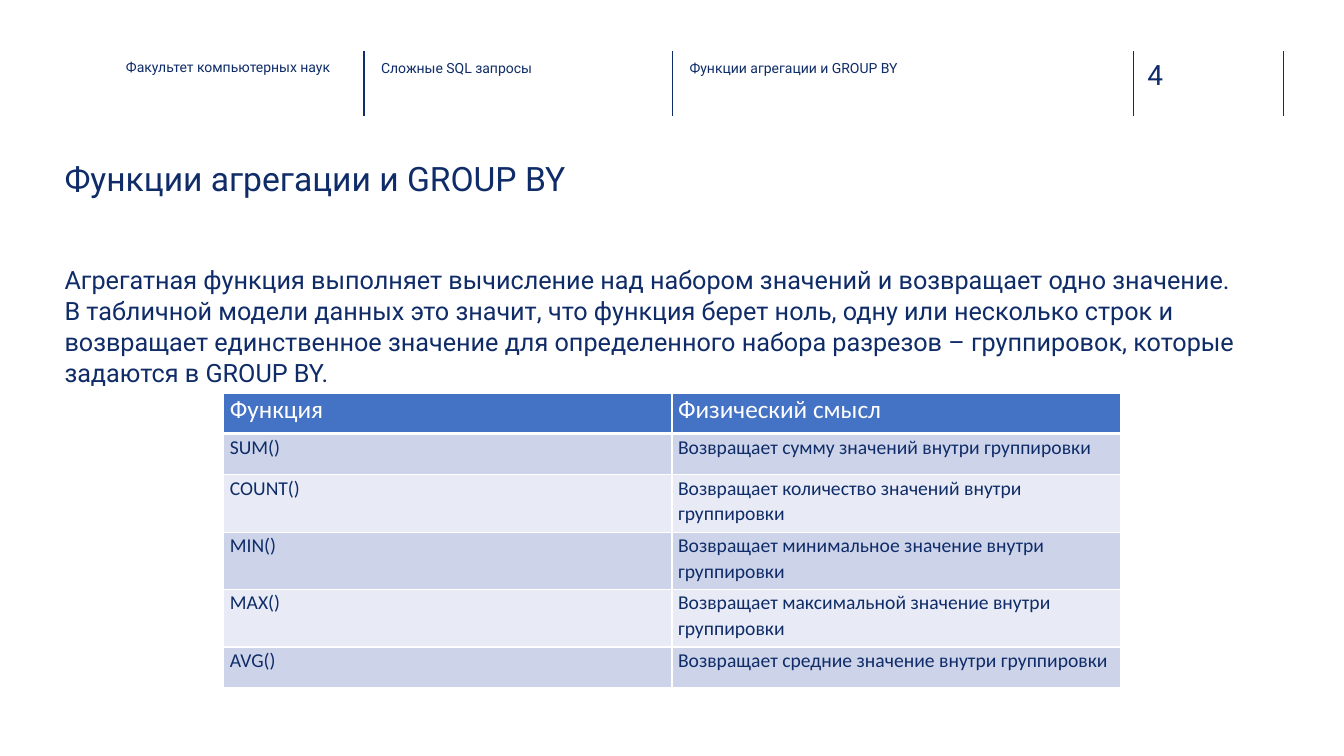
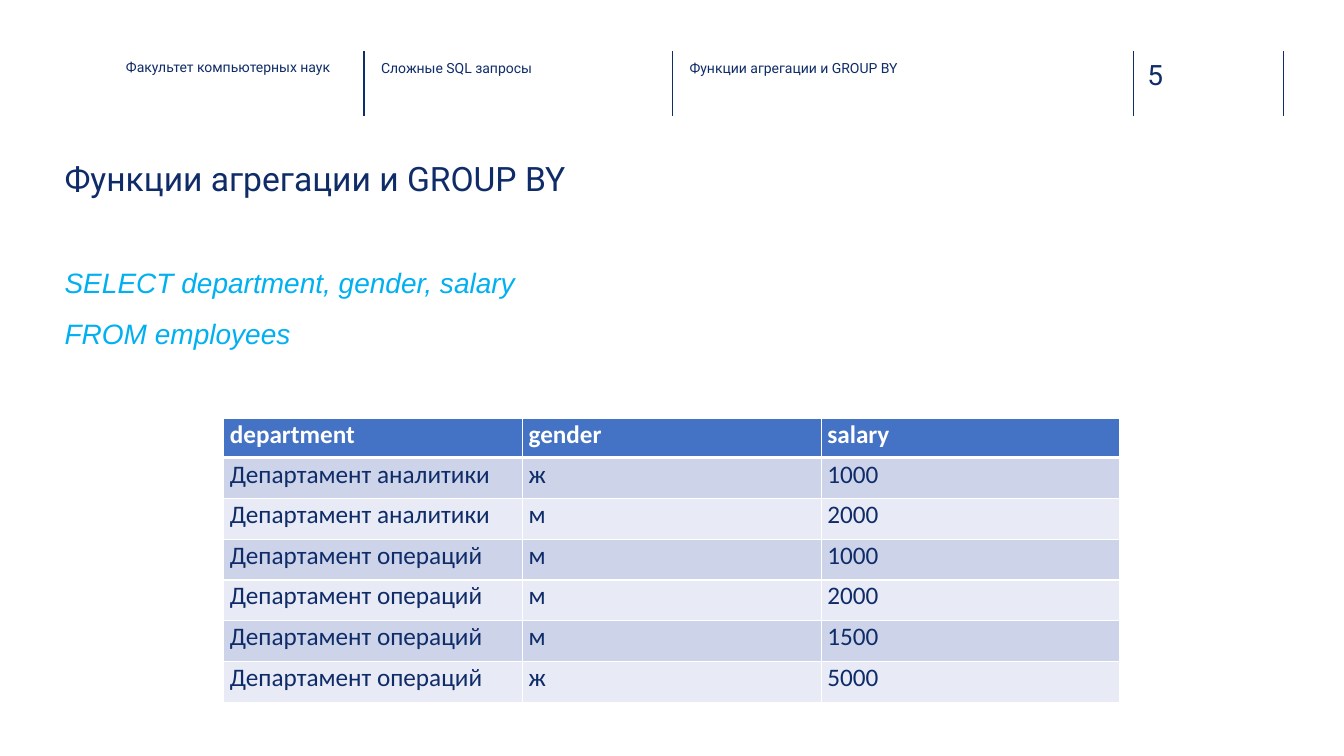
from lxml import etree
from pptx import Presentation
from pptx.dml.color import RGBColor
from pptx.enum.shapes import MSO_CONNECTOR
from pptx.oxml.ns import qn
from pptx.util import Inches, Pt

STRAIGHT = MSO_CONNECTOR.STRAIGHT

COLORS = {
    "navy": "0F2C68",
    "divider": "102D69",
    "query": "00B0F0",
    "header": "4472C4",
    "band_dark": "CDD4EA",
    "band_light": "E8EBF5",
    "white": "FFFFFF",
}

SLIDE_WIDTH, SLIDE_HEIGHT = 13.33, 7.5
TEXT_LEFT, TEXT_WIDTH = 0.64, 11.87
TABLE_LEFT, TABLE_WIDTH = 2.22, 8.89
DIVIDERS = (3.61, 6.67, 11.24, 12.73)
DIVIDER_TOP, DIVIDER_BOTTOM = 0.51, 1.15
FIRST_PAGE = 4

TITLE = "Функции агрегации и GROUP BY"
# label, left, top, width
HEADER_LABELS = [
    ("Факультет компьютерных наук", 1.25, 0.57, 2.3),
    ("Сложные SQL запросы", DIVIDERS[0] + 0.17, 0.58, 2.8),
    (TITLE, DIVIDERS[1] + 0.17, 0.58, 4.3),
]

PAGES = [
    {
        "body": {
            "lines": [
                "Агрегатная функция выполняет вычисление над набором значений "
                "и возвращает одно значение.",
                "В табличной модели данных это значит, что функция берет ноль, "
                "одну или несколько строк и возвращает единственное значение "
                "для определенного набора разрезов – группировок, которые "
                "задаются в GROUP BY.",
            ],
            "top": 2.61, "height": 1.22,
            "style": {"size": 18, "spacing": 1.02},
        },
        "table": {
            "rows": [
                ("Функция", "Физический смысл"),
                ("SUM()", "Возвращает сумму значений внутри группировки"),
                ("COUNT()", "Возвращает количество значений внутри группировки"),
                ("MIN()", "Возвращает минимальное значение внутри группировки"),
                ("MAX()", "Возвращает максимальной значение внутри группировки"),
                ("AVG()", "Возвращает средние значение внутри группировки"),
            ],
            "top": 3.9,
            "heights": [0.4, 0.41, 0.57, 0.57, 0.57, 0.4],
            "header_bold": False,
            "body_size": 14, "body_spacing": 1.07, "body_inset": 0,
        },
    },
    {
        "body": {
            "lines": ["SELECT department, gender, salary", "FROM employees"],
            "top": 2.46, "height": 0.98,
            "style": {"size": 20, "spacing": 1.5, "font": "Arial",
                      "color": "query", "italic": True},
        },
        "table": {
            "rows": [
                ("department", "gender", "salary"),
                ("Департамент аналитики", "ж", "1000"),
                ("Департамент аналитики", "м", "2000"),
                ("Департамент операций", "м", "1000"),
                ("Департамент операций", "м", "2000"),
                ("Департамент операций", "м", "1500"),
                ("Департамент операций", "ж", "5000"),
            ],
            "top": 4.15,
            "heights": [0.39] + [2.43 / 6] * 6,
            "header_bold": True,
            "body_size": 18, "body_spacing": 1, "body_inset": 0.01,
        },
    },
]


def rgb(name):
    return RGBColor.from_string(COLORS[name])


def style_paragraph(paragraph, size, font="Roboto", color="navy",
                    bold=False, italic=False, spacing=1):
    paragraph.font.name = font
    paragraph.font.size = Pt(size)
    paragraph.font.bold = bold
    paragraph.font.italic = italic
    paragraph.font.color.rgb = rgb(color)
    paragraph.line_spacing = float(spacing)


def add_text(slide, lines, left, top, width, height, **style):
    box = slide.shapes.add_textbox(
        Inches(left), Inches(top), Inches(width), Inches(height))
    frame = box.text_frame
    frame.word_wrap = True
    frame.margin_left = frame.margin_right = frame.margin_bottom = 0
    frame.margin_top = Inches(0.01)
    frame.text = "\n".join(lines)
    for paragraph in frame.paragraphs:
        style_paragraph(paragraph, **style)


def add_divider(slide, x):
    line = slide.shapes.add_connector(
        STRAIGHT, Inches(x), Inches(DIVIDER_TOP), Inches(x), Inches(DIVIDER_BOTTOM))
    line.line.color.rgb = rgb("divider")
    line.line.width = Pt(1)
    etree.SubElement(line._element.spPr, qn("a:effectLst"))


def add_page_frame(slide, page_number):
    """Add the header band and title that every slide carries."""
    for x in DIVIDERS:
        add_divider(slide, x)
    for label, left, top, width in HEADER_LABELS:
        add_text(slide, [label], left, top, width, 0.19, size=10)
    add_text(slide, [str(page_number)], DIVIDERS[2] + 0.14, 0.56, 1, 0.36,
             size=20, color="divider")
    add_text(slide, [TITLE], TEXT_LEFT, 1.56, TEXT_WIDTH, 0.42, size=24)


def set_borders(cell, top, bottom):
    """Draw white borders; must run before the cell gets its fill."""
    properties = cell._tc.get_or_add_tcPr()
    for side, points in (("L", 1), ("R", 1), ("T", top), ("B", bottom)):
        border = etree.SubElement(properties, qn(f"a:ln{side}"), w=str(Pt(points)))
        fill = etree.SubElement(border, qn("a:solidFill"))
        etree.SubElement(fill, qn("a:srgbClr"), val=COLORS["white"])


def add_grid(slide, rows, top, heights, header_bold,
             body_size, body_spacing, body_inset):
    columns = len(rows[0])
    table = slide.shapes.add_table(
        len(rows), columns, Inches(TABLE_LEFT), Inches(top),
        Inches(TABLE_WIDTH), Inches(sum(heights))).table
    table.horz_banding = False
    for column in table.columns:
        column.width = Inches(TABLE_WIDTH / columns)

    header_style = {"size": 18, "color": "white", "bold": header_bold}
    body_style = {"size": body_size, "spacing": body_spacing}
    for r, values in enumerate(rows):
        table.rows[r].height = Inches(heights[r])
        if r == 0:
            background, style, inset = "header", header_style, 0.01
        else:
            background = "band_dark" if r % 2 else "band_light"
            style = body_style
            inset = body_inset + (0.01 if r == 1 else 0)
        for c, value in enumerate(values):
            cell = table.cell(r, c)
            set_borders(cell, top=3 if r == 1 else 1, bottom=3 if r == 0 else 1)
            cell.fill.solid()
            cell.fill.fore_color.rgb = rgb(background)
            cell.margin_left = Inches(0.06)
            cell.margin_right = cell.margin_bottom = 0
            cell.margin_top = Inches(inset)
            cell.text = value
            style_paragraph(cell.text_frame.paragraphs[0], font="Calibri", **style)


def main():
    prs = Presentation()
    prs.slide_width, prs.slide_height = Inches(SLIDE_WIDTH), Inches(SLIDE_HEIGHT)
    blank = prs.slide_layouts[6]
    for number, page in enumerate(PAGES, FIRST_PAGE):
        slide = prs.slides.add_slide(blank)
        add_page_frame(slide, number)
        body = page["body"]
        add_text(slide, body["lines"], TEXT_LEFT, body["top"], TEXT_WIDTH,
                 body["height"], **body["style"])
        add_grid(slide, **page["table"])
    prs.save("out.pptx")


if __name__ == "__main__":
    main()
